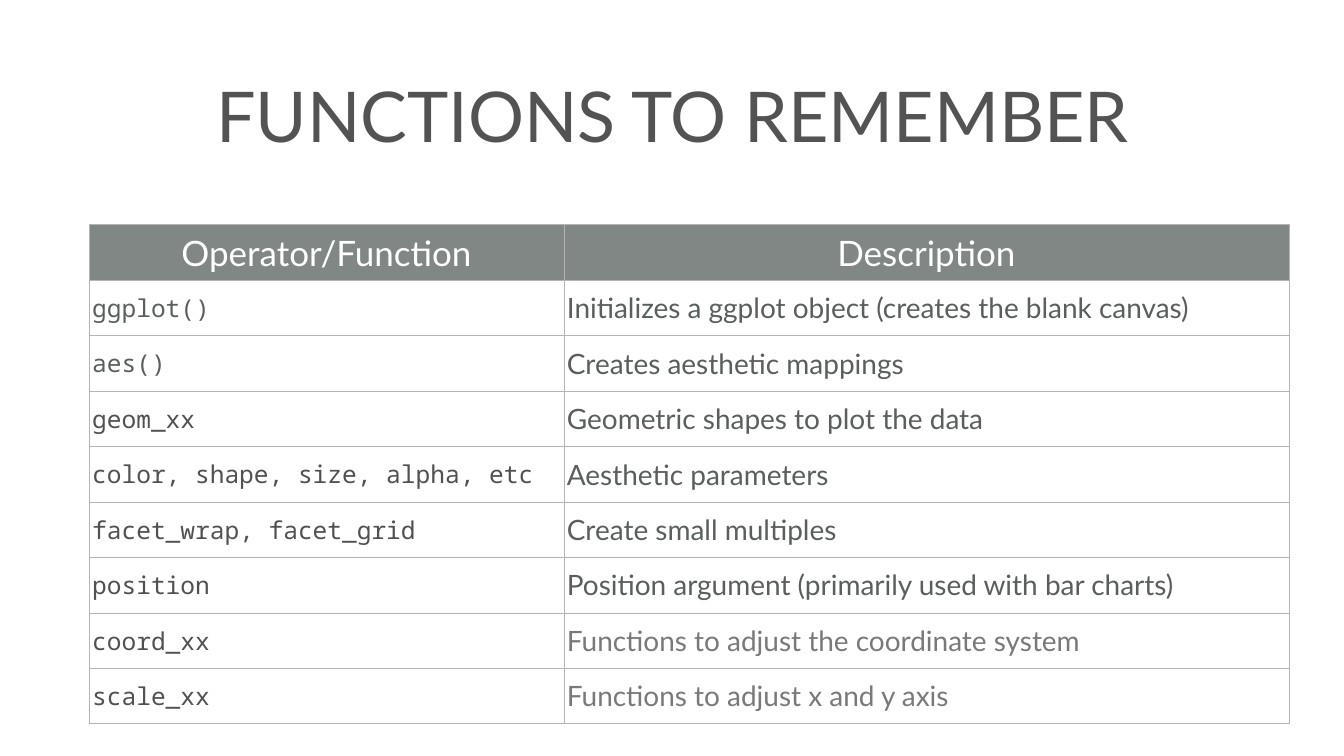
"""Build the slide that lists the plotting functions to remember."""
from lxml import etree
from pptx import Presentation, util as u
from pptx.dml.color import RGBColor
from pptx.enum import text
from pptx.oxml.ns import qn

COLORS = {
    "title": "535353",
    "header": "808785",
    "white": "FFFFFF",
    "body": "5A5F5E",
    "code": "515151",
    "muted": "797979",
    "border": "B4B4B4",
}
SANS, MONO = "Lato", "Noto Sans Mono"
INSET = u.Inches(0.06)
COLUMNS = [9.42, 14.39]
ROW = 1.1
ROWS = [
    ("ggplot()", "body", "Initializes a ggplot object (creates the blank canvas)", "body"),
    ("aes()", "body", "Creates aesthetic mappings", "body"),
    ("geom_xx", "code", "Geometric shapes to plot the data", "body"),
    ("color, shape, size, alpha, etc", "code", "Aesthetic parameters", "body"),
    ("facet_wrap, facet_grid", "code", "Create small multiples", "body"),
    ("position", "code", "Position argument (primarily used with bar charts)", "body"),
    ("coord_xx", "code", "Functions to adjust the coordinate system", "muted"),
    ("scale_xx", "code", "Functions to adjust x and y axis", "muted"),
]


def write(box, words, size, font, color, align):
    box.text_frame.text = words
    box.vertical_anchor = text.MSO_ANCHOR.MIDDLE
    box.margin_left = box.margin_right = box.margin_top = box.margin_bottom = INSET
    para = box.text_frame.paragraphs[0]
    para.alignment = align
    span = para.runs[0]
    span.font.size = u.Pt(size)
    span.font.name = font
    span.font.bold = False
    span.font.color.rgb = RGBColor.from_string(COLORS[color])


def draw_borders(cell):
    props = cell._tc.get_or_add_tcPr()
    for place, side in enumerate(("lnL", "lnR", "lnT", "lnB")):
        line = etree.Element(qn(f"a:{side}"), w=str(u.Pt(1)))
        fill = etree.SubElement(line, qn("a:solidFill"))
        etree.SubElement(fill, qn("a:srgbClr"), val=COLORS["border"])
        props.insert(place, line)


deck = Presentation()
deck.slide_width, deck.slide_height = u.Inches(26.67), u.Inches(15)
page = deck.slides.add_slide(deck.slide_layouts[5])
center, left = text.PP_ALIGN.CENTER, text.PP_ALIGN.LEFT

title = page.shapes.title
title.left, title.top = u.Inches(0.74), u.Inches(0.39)
title.width, title.height = u.Inches(25.21), u.Inches(3.75)
frame = title.text_frame
frame.text = "FUNCTIONS TO REMEMBER"
frame.auto_size = text.MSO_AUTO_SIZE.NONE
frame.vertical_anchor = text.MSO_ANCHOR.MIDDLE
frame.margin_left = frame.margin_right = frame.margin_top = frame.margin_bottom = INSET
frame.paragraphs[0].alignment = center
span = frame.paragraphs[0].runs[0]
span.font.size = u.Pt(100)
span.font.name = SANS
span.font.color.rgb = RGBColor.from_string(COLORS["title"])

count = len(ROWS) + 1
table = page.shapes.add_table(
    count, len(COLUMNS), u.Inches(1.77), u.Inches(4.46),
    u.Inches(sum(COLUMNS)), u.Inches(ROW * count),
).table
table.horz_banding = False
for column, width in zip(table.columns, COLUMNS):
    column.width = u.Inches(width)
for row in table.rows:
    row.height = u.Inches(ROW)

for index, heading in enumerate(("Operator/Function", "Description")):
    cell = table.cell(0, index)
    write(cell, heading, 50, SANS, "white", center)
    cell.fill.solid()
    cell.fill.fore_color.rgb = RGBColor.from_string(COLORS["header"])

for index, (name, name_color, meaning, meaning_color) in enumerate(ROWS, 1):
    write(table.cell(index, 0), name, 35, MONO, name_color, left)
    write(table.cell(index, 1), meaning, 40, SANS, meaning_color, left)
    for cell in table.rows[index].cells:
        cell.fill.background()

for cell in table.iter_cells():
    draw_borders(cell)

deck.save("out.pptx")
